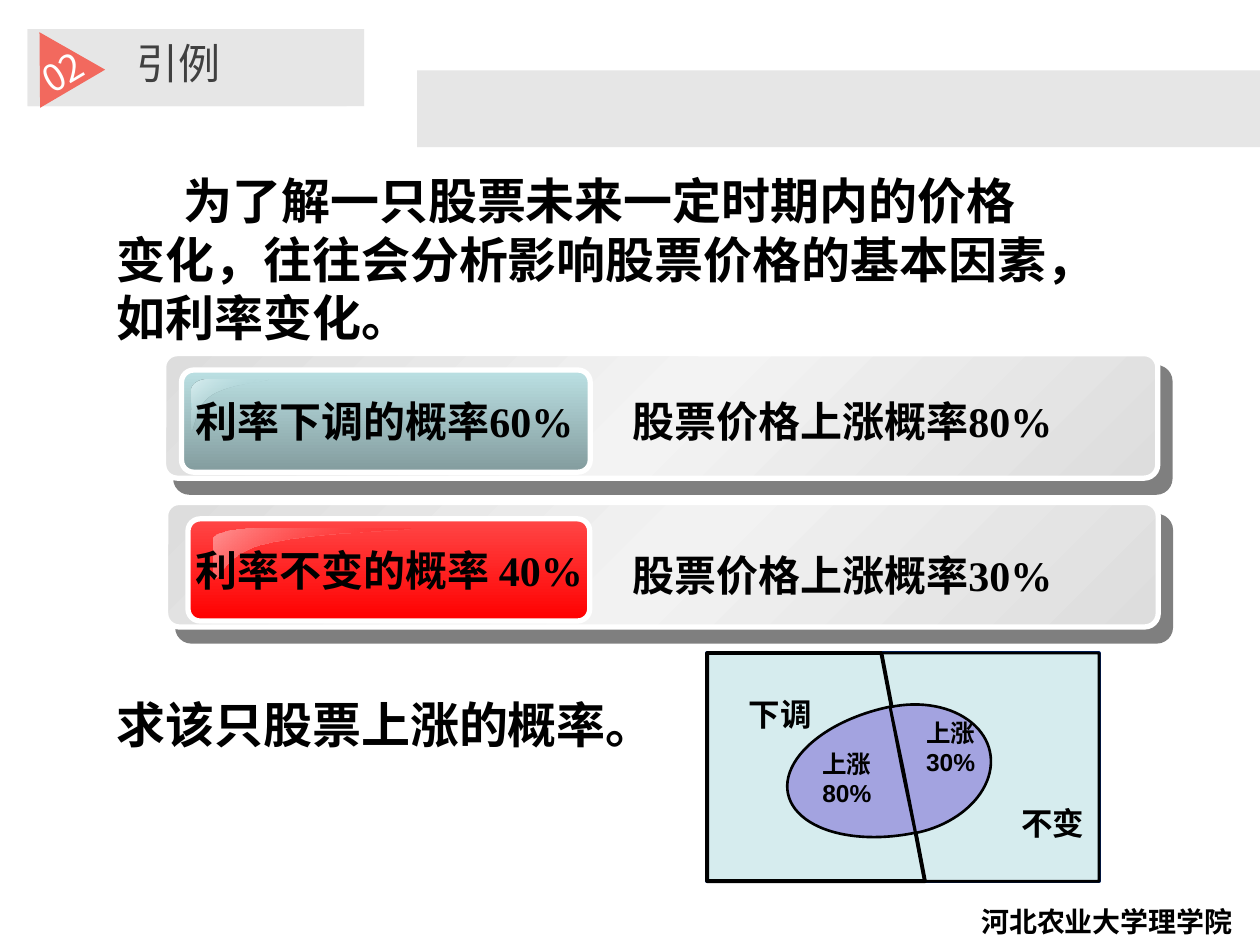
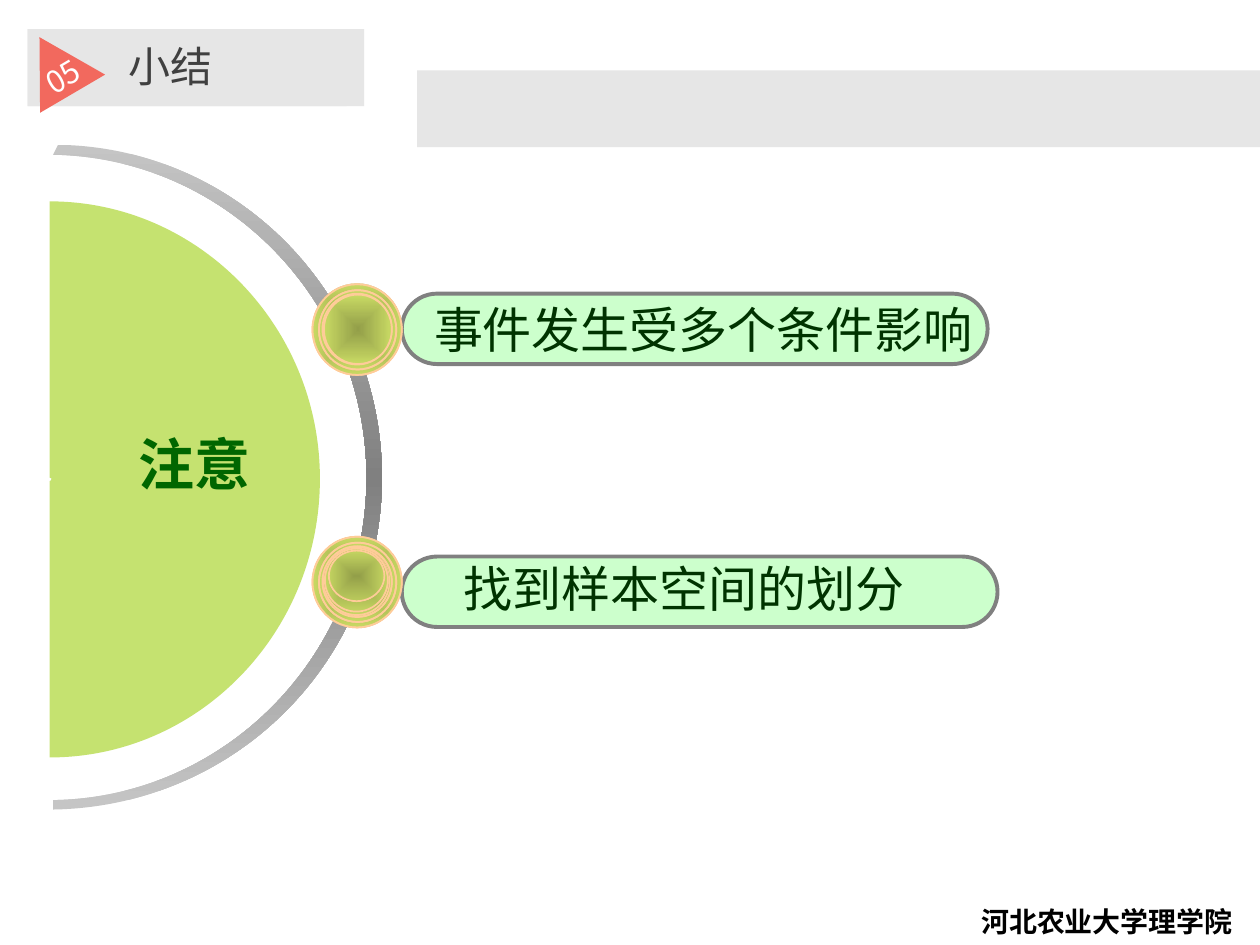
from lxml import etree
from pptx import Presentation
from pptx import oxml
from pptx.dml.color import RGBColor
from pptx.enum import shapes, text
from pptx.oxml import ns
from pptx.util import Cm, Pt

KIND = shapes.MSO_SHAPE
ALIGN = text.PP_ALIGN
MIDDLE = text.MSO_ANCHOR.MIDDLE
CJK = "Noto Sans CJK SC"
GREY, BLACK = "E6E6E6", "000000"


def paint(shape, colours, angle=None, line=None, weight=1):
    """Fill with evenly spaced colours ("RRGGBB" or "RRGGBB/opacity"); no angle means from the centre."""
    tones = []
    for colour in colours.split():
        rgb, _, opacity = colour.partition("/")
        alpha = f'<a:alpha val="{int(opacity) * 1000}"/>' if opacity else ""
        tones.append(f'<a:srgbClr val="{rgb}">{alpha}</a:srgbClr>')
    if len(tones) == 1:
        fill = f'<a:solidFill {ns.nsdecls("a")}>{tones[0]}</a:solidFill>'
    else:
        step = 100000 // (len(tones) - 1)
        stops = "".join(f'<a:gs pos="{i * step}">{tone}</a:gs>' for i, tone in enumerate(tones))
        course = (f'<a:lin ang="{angle * 60000}" scaled="0"/>' if angle is not None else
                  '<a:path path="rect"><a:fillToRect l="50000" t="50000" r="50000" b="50000"/></a:path>')
        fill = f'<a:gradFill {ns.nsdecls("a")} rotWithShape="1"><a:gsLst>{stops}</a:gsLst>{course}</a:gradFill>'
    shape.shadow.inherit = False
    shape._element.spPr.insert(2, oxml.parse_xml(fill))
    if line:
        shape.line.color.rgb = RGBColor.from_string(line)
        shape.line.width = Pt(weight)
    else:
        shape.line.fill.background()
    return shape


def write(shape, lines, size, colour=BLACK, bold=True, font=CJK, align=ALIGN.LEFT, anchor=None):
    """Set one paragraph per line; what follows a "|" is set in Times New Roman."""
    frame = shape.text_frame
    frame.word_wrap = True
    frame.auto_size = text.MSO_AUTO_SIZE.NONE
    frame.vertical_anchor = anchor or text.MSO_ANCHOR.TOP
    for i, line in enumerate(lines):
        paragraph = frame.add_paragraph() if i else frame.paragraphs[0]
        first, *figures = line.split("|")
        paragraph.text = first
        for figure in figures:
            paragraph.add_run().text = figure
        paragraph.alignment = align
        paragraph.line_spacing = Pt(size * 1.2)
        for run, face in zip(paragraph.runs, (font, "Times New Roman")):
            run.font.size, run.font.bold, run.font.name = Pt(size), bold, face
            run.font.color.rgb = RGBColor.from_string(colour)
            etree.SubElement(run._r.get_or_add_rPr(), ns.qn("a:ea"), typeface=CJK)
    return frame


prs = Presentation()
prs.slide_width, prs.slide_height = Cm(25.4), Cm(19.05)
layout = prs.slide_layouts[5]
example = prs.slides.add_slide(layout)
summary = prs.slides.add_slide(layout)

# Shared bands and footer, moved to the layout in place of its date, footer and number
for holder in list(layout.placeholders)[1:]:
    holder._element.getparent().remove(holder._element)
narrow, wide, heading_band = [
    paint(example.shapes.add_shape(KIND.RECTANGLE, *map(Cm, band)), GREY)
    for band in ((0.56, 0.59, 6.43, 1.55), (8.41, 1.42, 16.99, 1.55), (0.56, 0.59, 6.78, 1.55))]
school = example.shapes.add_textbox(Cm(11.1), Cm(18.11), Cm(14), Cm(0.94))
write(school, ["河北农业大学理学院"], 16, align=ALIGN.RIGHT)
for part in (narrow, school, wide, heading_band):
    layout.shapes._spTree.append(part._element)

# Titles and numbered triangles
for slide, heading, left, top, number, size, marker_top in (
        (example, "引例", 2.76, 0.65, "02", 21, 0.56),
        (summary, "小结", 2.59, 0.71, "05", 17.4, 0.66)):
    title = slide.shapes.title
    title.left, title.top, title.width, title.height = Cm(left), Cm(top), Cm(10.29), Cm(1.24)
    frame = write(title, [heading], 24, "404040", bold=False, anchor=MIDDLE)
    frame.margin_left = frame.margin_right = frame.margin_top = frame.margin_bottom = 0
    marker = slide.shapes.add_shape(KIND.ISOSCELES_TRIANGLE, Cm(0.37), Cm(marker_top), Cm(1.52), Cm(1.32))
    paint(marker, "F2695E").rotation = 329.6
    frame = write(marker, [number], size, "FFFFFF", bold=False, align=ALIGN.CENTER, anchor=MIDDLE)
    frame.word_wrap = False
    frame.margin_left = frame.margin_right = frame.margin_top = 0
    frame.margin_bottom = Cm(0.15)

# Slide 1: a card and a button for each interest rate case
for box, radius, fill, angle in (
        ((3.3, 7.13, 20.04, 2.51), 0.109, "DDDDDD F3F3F3 DDDDDD", 45),
        ((3.66, 7.46, 8.24, 2.06), 0.119, "BBE0E3 839C9E", 90),
        ((3.34, 10.13, 20.01, 2.51), 0.109, "DDDDDD F2F2F2 DDDDDD", 45),
        ((3.79, 10.46, 8.1, 2.06), 0.119, "FF4646 FF0000", 90)):
    panel = example.shapes.add_shape(KIND.ROUNDED_RECTANGLE, *map(Cm, box))
    panel.adjustments[0] = radius
    paint(panel, fill, angle, "FFFFFF", 3)
    if angle == 45:
        panel._element.spPr.find(ns.qn("a:effectLst")).append(oxml.parse_xml(
            f'<a:outerShdw {ns.nsdecls("a")} dist="134620" dir="2940000" algn="ctr" rotWithShape="0">'
            '<a:srgbClr val="000000"><a:alpha val="50000"/></a:srgbClr></a:outerShdw>'))

# Curved outlines: the first point, then lines (one point) and cubic curves (three points)
GLOSS = [[(0.2, 0)], [(0.09, 0), (0, 0.1), (0, 0.2)], [(0, 1)],
         [(0.05, 1), (0.03, 0.52), (0.27, 0.3)], [(0.52, 0.07), (1, 0.05), (0.99, 0)]]
ARC = [[(1.07, 3.12)], [(4.57, 3.18), (7.39, 6.07), (7.39, 9.63)],
       [(7.39, 13.18), (4.57, 16.08), (1.07, 16.13)], [(1.07, 16.32)],
       [(4.78, 16.26), (7.7, 13.28), (7.7, 9.63)], [(7.7, 5.94), (4.78, 2.97), (1.17, 2.92)]]
HALF_DISC = [[(1, 9.7)], [(1.02, 9.7), (1.04, 9.68), (1.04, 9.65)],
             [(1.04, 9.65), (1.02, 9.63), (1, 9.63)], [(1, 4.06)],
             [(4.01, 4.06), (6.45, 6.58), (6.45, 9.65)], [(6.45, 12.75), (4.01, 15.27), (1, 15.27)]]
for slide, outline, (x, y, w, h), fill, angle in (
        (example, GLOSS, (3.86, 7.65, 1.57, 1.02), "DAEEF0 BBE0E3/0 DAEEF0", 45),
        (example, GLOSS, (4.3, 10.65, 4.04, 1.02), "FF9393 FF0000/0", 45),
        (summary, ARC, (0, 0, 1, 1), "C5C5C5 808080 C5C5C5", 90),
        (summary, HALF_DISC, (0, 0, 1, 1), "99CC00/56", None)):
    start, *corners = [(Cm(x + w * across), Cm(y + h * down)) for step in outline for across, down in step]
    builder = slide.shapes.build_freeform(*start)
    builder.add_line_segments(corners)
    form = builder.convert_to_shape()
    lines = iter(list(form._element.iter(ns.qn("a:lnTo"))))
    for step in outline[1:]:
        first, *others = [next(lines) for _ in step]
        if others:
            first.tag = ns.qn("a:cubicBezTo")
        for other in others:
            first.append(other[0])
            other.getparent().remove(other)
    paint(form, fill, angle)

# Slide 1: captions on the cards
for caption, left, top, width, font in (
        ("利率下调的概率|60%", 3.69, 7.84, 8.36, CJK), ("股票价格上涨概率|80%", 12.5, 7.84, 11.4, "Arial"),
        ("利率不变的概率| 40%", 3.69, 10.86, 9.19, "Arial"), ("股票价格上涨概率|30%", 12.5, 10.96, 11.4, "Arial")):
    write(example.shapes.add_textbox(Cm(left), Cm(top), Cm(width), Cm(1.27)), [caption], 24, font=font)

# Slide 1: problem and question
problem = write(example.shapes.add_textbox(Cm(2.1), Cm(3.31), Cm(22.81), Cm(3.84)),
                ["为了解一只股票未来一定时期内的价格", "变化，往往会分析影响股票价格的基本因素，", "如利率变化。"],
                28, font="Arial")
problem.paragraphs[0]._p.get_or_add_pPr().set("indent", str(Cm(1.35)))
write(example.shapes.add_textbox(Cm(2.1), Cm(13.87), Cm(14.2), Cm(1.45)), ["求该只股票上涨的概率。"], 28)

# Slide 1: sample space split in two, with the event across both parts
paint(example.shapes.add_shape(KIND.RECTANGLE, Cm(14.25), Cm(13.17), Cm(7.9), Cm(4.6)),
      "72BFC5", line="002060", weight=2.25)
for kind, box, turn, fill, weight, label, label_box, size in (
        (KIND.FLOWCHART_MANUAL_INPUT, (17.66, 13.27, 4.6, 4.39), 270, "D6ECEE", 1.5,
         "不变", (20.18, 16.08, 1.93, 1.02), 18),
        (KIND.FLOWCHART_MANUAL_INPUT, (14.15, 13.27, 4.6, 4.39), 90, "D6ECEE", 2.25,
         "下调", (14.81, 13.88, 1.8, 1.02), 18),
        (KIND.PIE, (16.89, 13.17, 2.59, 4.7), 78.2, "A3A3E0", 1.5,
         "上涨80%", (15.79, 14.97, 2.03, 1.45), 14),
        (KIND.PIE, (16.92, 13.74, 2.59, 3.56), 258.1, "A3A3E0", 1.5,
         "上涨30%", (17.75, 14.35, 2.16, 1.45), 14)):
    region = example.shapes.add_shape(kind, *map(Cm, box))
    region.rotation = turn
    if kind == KIND.PIE:
        region.adjustments[0], region.adjustments[1] = 0, 108.55
    paint(region, fill, line=BLACK, weight=weight)
    write(example.shapes.add_textbox(*map(Cm, label_box)), [label], size, font="Arial", align=ALIGN.RIGHT)

# Slide 2: pills and knobs (offset, size and edge opacity of each ring)
RINGS = [(0, 0, 1.8, 1.83, 100), (0, 0, 1.8, 1.83, 32), (0.13, 0.12, 1.56, 1.6, 100),
         (0.13, 0.12, 1.56, 1.6, 0), (0.2, 0.19, 1.4, 1.43, 100), (0.23, 0.23, 1.32, 1.35, 0),
         (0.25, 0.24, 1.27, 1.27, 48), (0.33, 0.28, 1.12, 1.02, 38)]
CAP = (0.23, 0.21, 1.37, 1.4, 100)
for knob_top, rings, pill_box, message, message_box in (
        (5.73, RINGS + [CAP], (8.1, 5.92, 11.81, 1.42), "事件发生受多个条件影响", (8.5, 5.9, 11.81, 1.45)),
        (10.82, RINGS[:5] + [CAP] + RINGS[5:], (8.1, 11.22, 12.01, 1.42), "找到样本空间的划分",
         (9.1, 11.13, 10.59, 1.45))):
    pill = summary.shapes.add_shape(KIND.ROUNDED_RECTANGLE, *map(Cm, pill_box))
    pill.adjustments[0] = 0.5
    paint(pill, "CCFFCC", line="808080", weight=2.25)
    for dx, dy, w, h, opacity in rings:
        ring = summary.shapes.add_shape(KIND.OVAL, Cm(6.3 + dx), Cm(knob_top + dy), Cm(w), Cm(h))
        paint(ring, f"939F49 C9DA64/{opacity}", line="FFCC99")
    write(summary.shapes.add_textbox(*map(Cm, message_box)), [message], 28, "003300", bold=False, anchor=MIDDLE)

# Slide 2: label of the half disc
write(summary.shapes.add_textbox(Cm(1.11), Cm(8.53), Cm(4.19), Cm(1.63)), ["注意"], 32, "006600", align=ALIGN.RIGHT)

prs.save("out.pptx")
